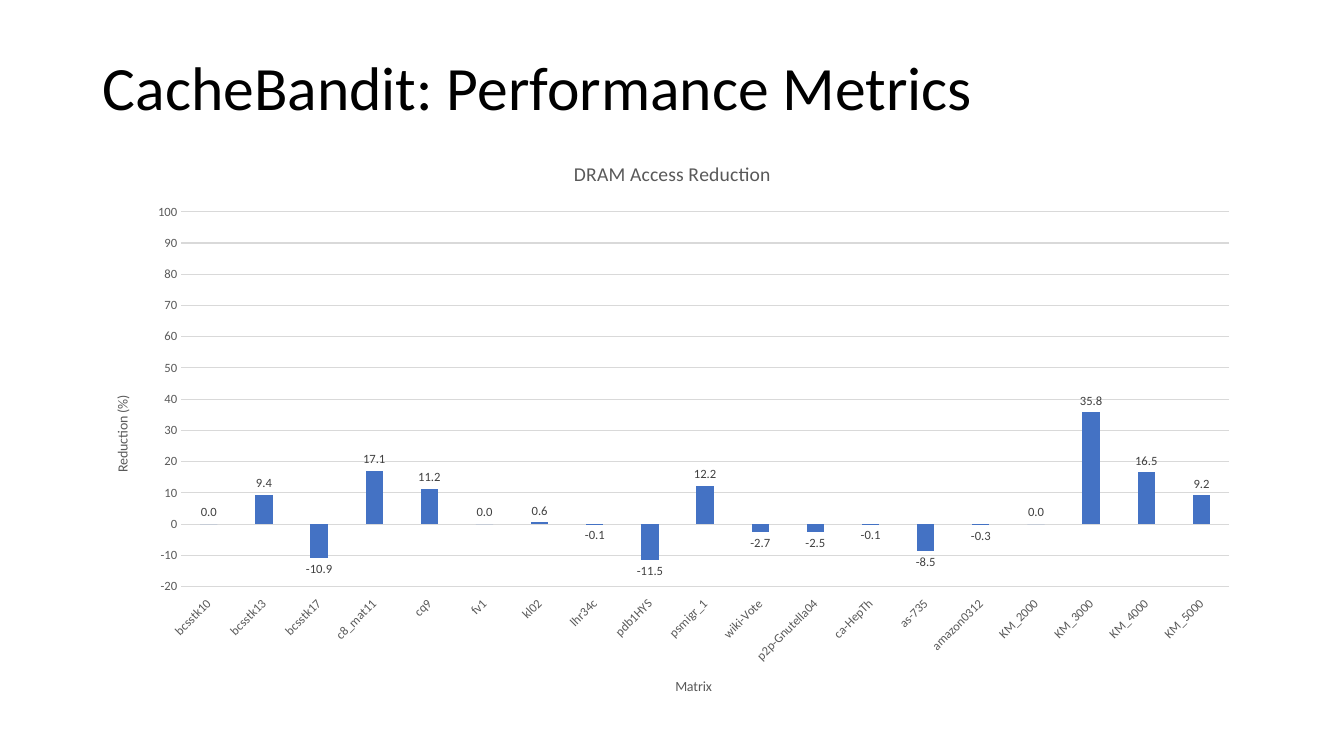
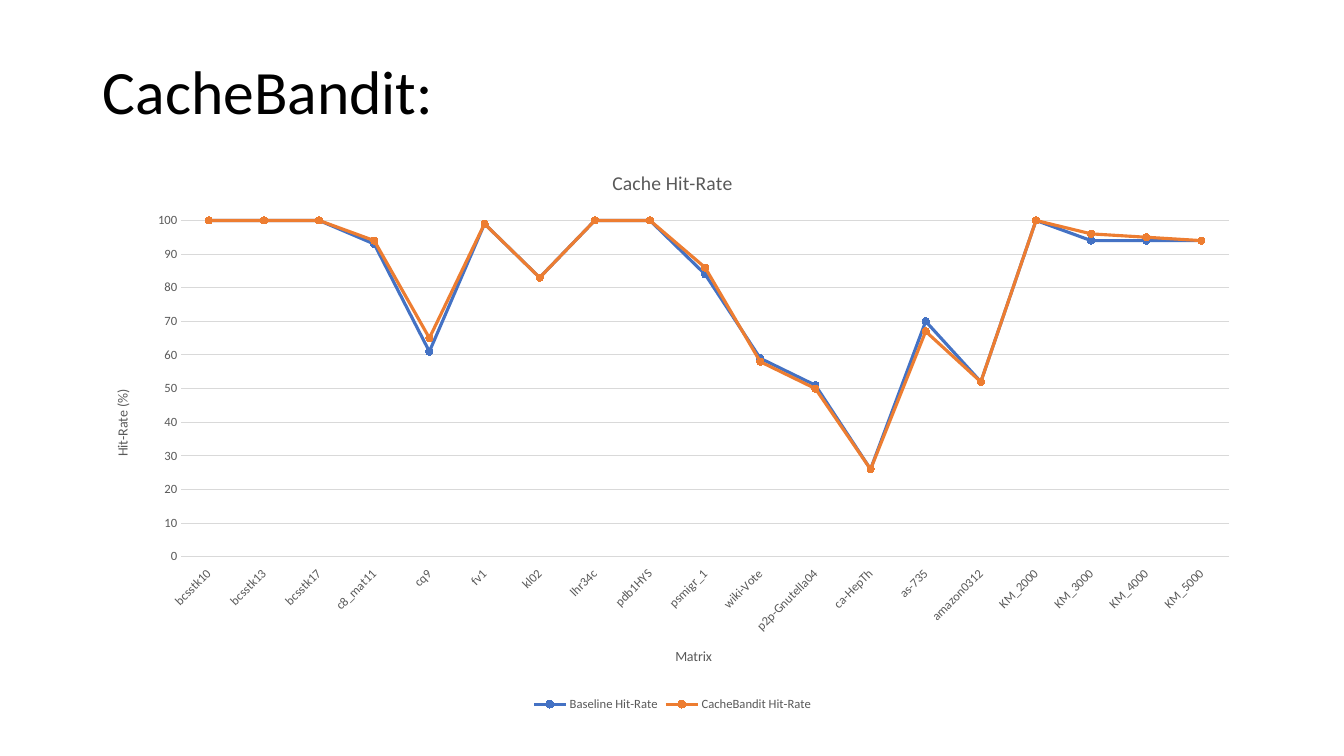
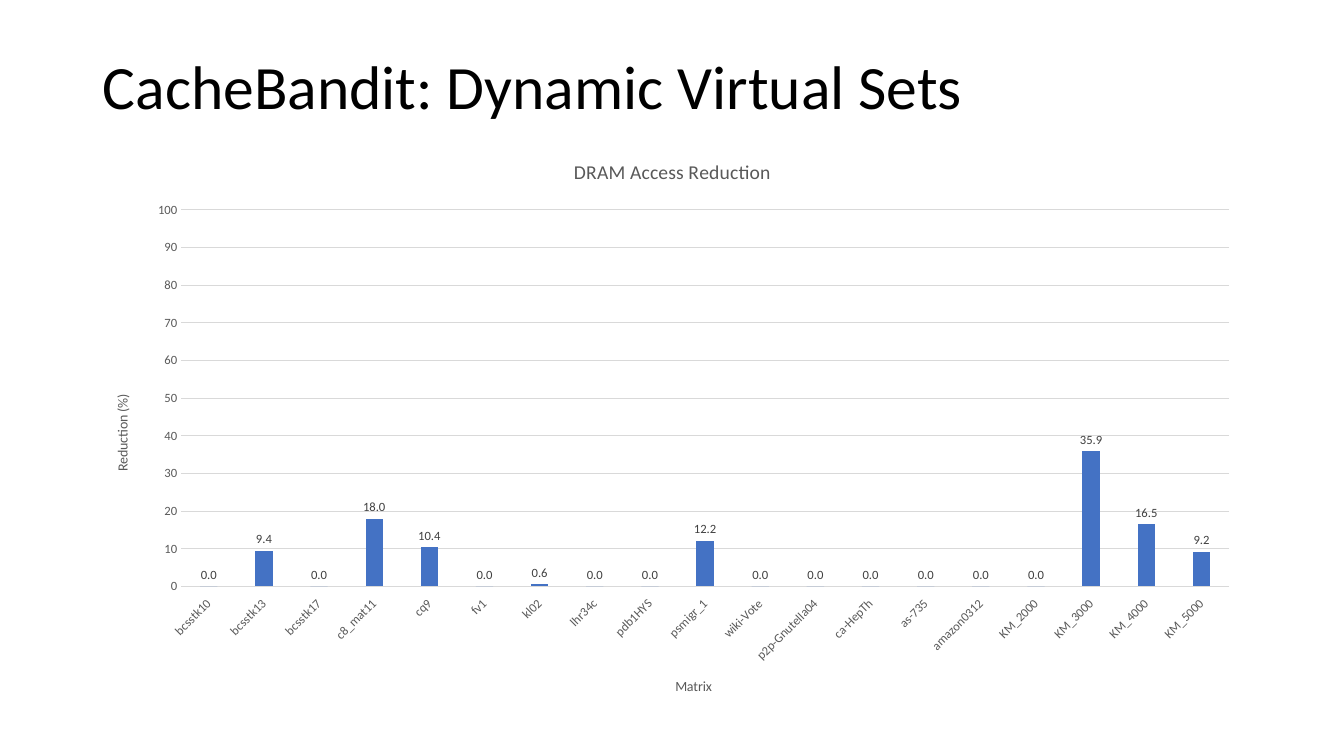
from dataclasses import dataclass

from pptx import Presentation
from pptx.chart.axis import CategoryAxis, ValueAxis
from pptx.chart.chart import Chart
from pptx.chart.data import CategoryChartData
from pptx.dml.color import RGBColor
from pptx.enum import chart as ch, text as tx
from pptx.slide import Slide
from pptx.text.text import Font, TextFrame
from pptx.util import Inches, Pt

FACE = "Calibri"
BLACK = RGBColor(0x00, 0x00, 0x00)
DARK = RGBColor(0x40, 0x40, 0x40)
GRAY = RGBColor(0x59, 0x59, 0x59)
PALE = RGBColor(0xD9, 0xD9, 0xD9)
HUES = (RGBColor(0x44, 0x72, 0xC4), RGBColor(0xED, 0x7D, 0x31))

LEFT, TOP, WIDTH, END = 0.92, 0.4, 11.5, 7.1
TURN = 60000  # drawing units in one degree

CATS = (
    "bcsstk10", "bcsstk13", "bcsstk17", "c8_mat11", "cq9", "fv1", "kl02",
    "lhr34c", "pdb1HYS", "psmigr_1", "wiki-Vote", "p2p-Gnutella04",
    "ca-HepTh", "as-735", "amazon0312", "KM_2000", "KM_3000", "KM_4000",
    "KM_5000",
)


@dataclass(frozen=True)
class Page:
    title: str
    split: float  # where the title ends and the chart starts, in inches
    kind: ch.XL_CHART_TYPE
    name: str
    unit: str
    rows: dict[str, tuple[float, ...]]
    low: int = 0
    lap: int = 0


BARS = ch.XL_CHART_TYPE.COLUMN_CLUSTERED
LINES = ch.XL_CHART_TYPE.LINE_MARKERS
DRAM = "DRAM Access Reduction"

PAGES = (
    Page("CacheBandit: Performance Metrics", 1.39, BARS, DRAM, "Reduction (%)", {
        DRAM: (0, 9.4, -10.9, 17.1, 11.2, 0, 0.6, -0.1, -11.5, 12.2, -2.7,
               -2.5, -0.1, -8.5, -0.3, 0, 35.8, 16.5, 9.2),
    }, low=-20),
    Page("CacheBandit:", 1.48, LINES, "Cache Hit-Rate", "Hit-Rate (%)", {
        "Baseline Hit-Rate": (100, 100, 100, 93, 61, 99, 83, 100, 100, 84, 59,
                              51, 26, 70, 52, 100, 94, 94, 94),
        "CacheBandit Hit-Rate": (100, 100, 100, 94, 65, 99, 83, 100, 100, 86,
                                 58, 50, 26, 67, 52, 100, 96, 95, 94),
    }),
    Page("CacheBandit: Dynamic Virtual Sets", 1.37, BARS, DRAM, "Reduction (%)", {
        DRAM: (0, 9.4, 0, 18, 10.4, 0, 0.6, 0, 0, 12.2, 0, 0, 0, 0, 0, 0,
               35.9, 16.5, 9.2),
    }, lap=-27),
)


def style(font: Font, size: float, color: RGBColor) -> None:
    font.name, font.size, font.bold = FACE, Pt(size), False
    font.color.rgb = color


def label(frame: TextFrame, words: str, size: float) -> None:
    frame.text = words
    style(frame.paragraphs[0].font, size, GRAY)


def add_title(slide: Slide, page: Page) -> None:
    box = slide.shapes.title
    box.left, box.top = Inches(LEFT), Inches(TOP)
    box.width, box.height = Inches(WIDTH), Inches(page.split - TOP)
    frame = box.text_frame
    frame.text = page.title
    frame.auto_size = tx.MSO_AUTO_SIZE.NONE
    frame.vertical_anchor = tx.MSO_ANCHOR.MIDDLE
    para = frame.paragraphs[0]
    para.alignment, para.line_spacing = tx.PP_ALIGN.LEFT, 0.9
    style(para.font, 44, BLACK)


def set_axis(axis: CategoryAxis | ValueAxis, words: str, tilt: int, turn: int) -> None:
    """Style an axis; tilt and turn rotate its labels and title in degrees."""
    label(axis.axis_title.text_frame, words, 10)
    axis.axis_title.text_frame._txBody.bodyPr.set("rot", str(turn * TURN))
    axis.major_tick_mark = axis.minor_tick_mark = ch.XL_TICK_MARK.NONE
    style(axis.tick_labels.font, 9, GRAY)
    axis._element.txPr.bodyPr.set("rot", str(tilt * TURN))


def set_axes(chart: Chart, page: Page) -> None:
    cat, val = chart.category_axis, chart.value_axis
    set_axis(cat, "Matrix", -45, 0)
    set_axis(val, page.unit, 0, -90)
    cat.tick_label_position = ch.XL_TICK_LABEL_POSITION.LOW
    val.minimum_scale, val.maximum_scale, val.major_unit = page.low, 100, 10
    val.format.line.fill.background()
    for line in (cat.format.line, val.major_gridlines.format.line):
        line.color.rgb, line.width = PALE, Pt(0.75)


def set_bars(chart: Chart, lap: int) -> None:
    plot = chart.plots[0]
    plot.vary_by_categories = False
    plot.gap_width, plot.overlap = 219, lap
    bars = plot.series[0]
    bars.invert_if_negative = False
    bars.format.fill.solid()
    bars.format.fill.fore_color.rgb = HUES[0]
    tags = bars.data_labels
    tags.show_value = True
    tags.position = ch.XL_LABEL_POSITION.OUTSIDE_END
    tags.number_format, tags.number_format_is_linked = "#,##0.0", False
    style(tags.font, 9, DARK)


def set_lines(chart: Chart) -> None:
    chart.plots[0].vary_by_categories = False
    for row, hue in zip(chart.plots[0].series, HUES):
        row.smooth = False
        row.format.line.color.rgb, row.format.line.width = hue, Pt(2.25)
        mark = row.marker
        mark.style, mark.size = ch.XL_MARKER_STYLE.CIRCLE, 5
        mark.format.fill.solid()
        mark.format.fill.fore_color.rgb = hue
        mark.format.line.color.rgb = hue
    chart.has_legend = True
    chart.legend.position = ch.XL_LEGEND_POSITION.BOTTOM
    chart.legend.include_in_layout = False
    style(chart.legend.font, 9, GRAY)


def add_chart(slide: Slide, page: Page) -> None:
    data = CategoryChartData()
    data.categories = CATS
    for name, vals in page.rows.items():
        data.add_series(name, vals)
    chart = slide.shapes.add_chart(
        page.kind, Inches(LEFT), Inches(page.split),
        Inches(WIDTH), Inches(END - page.split), data).chart
    style(chart.font, 10, BLACK)
    label(chart.chart_title.text_frame, page.name, 14)
    chart.chart_title.include_in_layout = False
    chart.has_legend = False
    set_axes(chart, page)
    if page.kind == BARS:
        set_bars(chart, page.lap)
    else:
        set_lines(chart)


def main() -> None:
    deck = Presentation()
    deck.slide_width, deck.slide_height = Inches(13.33), Inches(7.5)
    plain = deck.slide_layouts.get_by_name("Title Only")
    for page in PAGES:
        slide = deck.slides.add_slide(plain)
        add_title(slide, page)
        add_chart(slide, page)
    deck.save("out.pptx")


if __name__ == "__main__":
    main()
